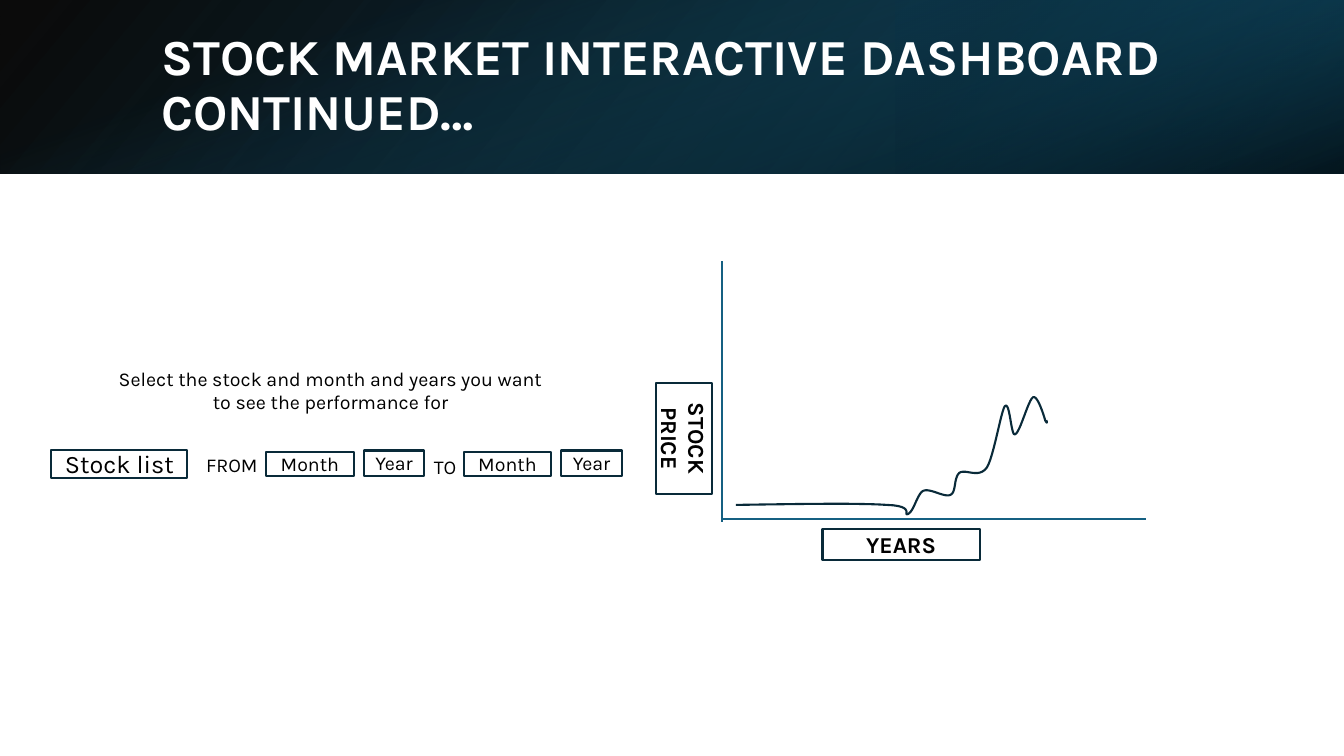
from lxml import etree
from pptx import Presentation
from pptx.dml.color import RGBColor
from pptx.enum.shapes import MSO_CONNECTOR, MSO_SHAPE
from pptx.enum.text import MSO_ANCHOR, MSO_AUTO_SIZE, PP_ALIGN
from pptx.oxml.ns import qn
from pptx.util import Pt

RECTANGLE = MSO_SHAPE.RECTANGLE
STRAIGHT = MSO_CONNECTOR.STRAIGHT
MIDDLE = MSO_ANCHOR.MIDDLE
NO_FIT, GROW = MSO_AUTO_SIZE.NONE, MSO_AUTO_SIZE.SHAPE_TO_FIT_TEXT
LEFT, CENTER = PP_ALIGN.LEFT, PP_ALIGN.CENTER

FONT = "Karla"
WHITE, BLACK, NAVY, TEAL = "FFFFFF", "000000", "092A39", "156082"
LINE_WIDTH = 1.5
TITLE_ONLY = 5
CURVE_STEPS = 12
UNITS_PER_POINT = 100

# Price curve: start point, then cubic segments (two controls and an end)
PRICE_START = (525.6, 360.7)
PRICE_SEGMENTS = [
    ((569.5, 360), (613.4, 359.3), (633.6, 360.7)),
    ((654.5, 361.4), (644.4, 368.6), (648.7, 367.2)),
    ((653, 365), (655.2, 352.8), (659.5, 350.6)),
    ((664.6, 348.5), (674.6, 355.7), (679, 353.5)),
    ((683.3, 351.4), (681.1, 341.3), (685.4, 337.7)),
    ((689.8, 334.8), (699.1, 342), (704.9, 334.1)),
    ((709.9, 326.2), (715, 293.8), (717.8, 290.2)),
    ((721.4, 285.8), (722.2, 311.8), (725, 310.3)),
    ((728.6, 309.6), (734.4, 285.8), (738, 283.7)),
    ((741.6, 282.2), (746.6, 300.2), (746.6, 300.2)),
    ((748.1, 303.1), (748.1, 301.7), (747.4, 300.2)),
]


def color(hex_value):
    return RGBColor.from_string(hex_value)


def points(*lengths):
    return [Pt(length) for length in lengths]


def write(frame, text, size, bold=False, ink=BLACK, align=CENTER, after=0):
    frame.word_wrap = True
    paragraph = frame.paragraphs[0]
    paragraph.alignment = align
    paragraph.space_after = Pt(after)
    run = paragraph.add_run()
    run.text = text
    run.font.name = FONT
    run.font.size = Pt(size)
    run.font.bold = bold
    run.font.color.rgb = color(ink)
    return paragraph


def outline(shape, hex_value):
    shape.line.color.rgb = color(hex_value)
    shape.line.width = Pt(LINE_WIDTH)


def add_band(slide, box, stops, angle, rotation=0, flipped=False):
    """Rectangle with a gradient of (position %, colour, opacity %) stops."""
    band = slide.shapes.add_shape(RECTANGLE, *points(*box))
    band.shadow.inherit = False
    band.line.fill.background()
    band.rotation = rotation
    properties = band._element.spPr
    if flipped:
        properties.find(qn("a:xfrm")).set("flipH", "1")
    gradient = etree.Element(qn("a:gradFill"), rotWithShape="1")
    stop_list = etree.SubElement(gradient, qn("a:gsLst"))
    for position, hex_value, opacity in stops:
        stop = etree.SubElement(stop_list, qn("a:gs"), pos=str(position * 1000))
        shade = etree.SubElement(stop, qn("a:srgbClr"), val=hex_value)
        etree.SubElement(shade, qn("a:alpha"), val=str(opacity * 1000))
    etree.SubElement(gradient, qn("a:lin"), ang=str(angle * 60000), scaled="0")
    properties.find(qn("a:prstGeom")).addnext(gradient)


def add_title(slide, text):
    title = slide.shapes.title
    title.left, title.top, title.width, title.height = points(108, 27.4, 898.6, 69.1)
    frame = title.text_frame
    frame.auto_size = NO_FIT
    frame.vertical_anchor = MIDDLE
    paragraph = write(frame, text, 36, True, WHITE, LEFT)
    paragraph.line_spacing = 0.9
    paragraph.space_before = Pt(0)
    slide.shapes._spTree.append(title._element)  # in front of the bands


def add_box(slide, box, text, size, bold=False, after=0, vertical=False):
    field = slide.shapes.add_shape(RECTANGLE, *points(*box))
    field.shadow.inherit = False
    field.fill.solid()
    field.fill.fore_color.rgb = color(WHITE)
    outline(field, NAVY)
    frame = field.text_frame
    frame.vertical_anchor = MIDDLE
    write(frame, text, size, bold, after=after)
    if vertical:
        frame._txBody.bodyPr.set("vert", "vert")


def add_label(slide, box, text):
    frame = slide.shapes.add_textbox(*points(*box)).text_frame
    frame.auto_size = GROW
    write(frame, text, 14, after=6)


def add_axis(slide, *ends):
    axis = slide.shapes.add_connector(STRAIGHT, *points(*ends))
    outline(axis, TEAL)
    etree.SubElement(axis._element.spPr, qn("a:effectLst"))


def bezier_point(corners, t):
    weights = ((1 - t) ** 3, 3 * t * (1 - t) ** 2, 3 * t * t * (1 - t), t ** 3)
    return tuple(
        UNITS_PER_POINT * sum(w * corner[i] for w, corner in zip(weights, corners))
        for i in (0, 1)
    )


def add_price_curve(slide):
    start_x, start_y = (UNITS_PER_POINT * value for value in PRICE_START)
    builder = slide.shapes.build_freeform(start_x, start_y, Pt(1) / UNITS_PER_POINT)
    start = PRICE_START
    for segment in PRICE_SEGMENTS:
        corners = (start, *segment)
        builder.add_line_segments(
            [bezier_point(corners, step / CURVE_STEPS)
             for step in range(1, CURVE_STEPS + 1)],
            close=False,
        )
        start = segment[-1]
    curve = builder.convert_to_shape()
    curve.shadow.inherit = False
    curve.fill.background()
    outline(curve, NAVY)


def main():
    deck = Presentation()
    deck.slide_width, deck.slide_height = points(960, 540)
    slide = deck.slides.add_slide(deck.slide_layouts[TITLE_ONLY])

    # Header
    add_band(slide, (0, 0, 960, 124), [(0, BLACK, 96), (100, "104862", 100)][:1]
             + [(100, "104862", 100)], 140, flipped=True)
    add_band(slide, (640, 0, 320, 124), [(19, "0B3041", 68), (100, TEAL, 79)],
             320, rotation=180, flipped=True)
    add_band(slide, (418, -418, 124, 960), [(23, TEAL, 0), (99, BLACK, 74)],
             340, rotation=90)
    add_title(slide, "STOCK MARKET INTERACTIVE DASHBOARD CONTINUED…")

    # Price chart sketch
    add_axis(slide, 515.5, 186.5, 515.5, 373)
    add_axis(slide, 515.5, 370.8, 818.6, 370.8)
    add_box(slide, (587.5, 378, 112.3, 22.3), "YEARS", 16.2, True, 6)
    add_box(slide, (468.7, 273.6, 39.6, 79.2), "STOCK PRICE", 16.2, True, 6,
            vertical=True)
    add_price_curve(slide)

    # Stock and period selectors
    add_label(slide, (71.3, 258.5, 329.8, 41),
              "Select the stock and month and years you want to see the performance for")
    add_box(slide, (36.7, 321.1, 97.2, 20.2), "Stock list", 18)
    for month_left in (190.1, 331.2):
        add_box(slide, (month_left, 322.6, 62.6, 17.3), "Month", 14)
        add_box(slide, (month_left + 69.8, 321.8, 43.2, 18), "Year", 14)
    add_label(slide, (139, 319.7, 53.3, 24.5), "FROM")
    add_label(slide, (301.7, 321.1, 32.4, 24.5), "TO")

    deck.save("out.pptx")


if __name__ == "__main__":
    main()
